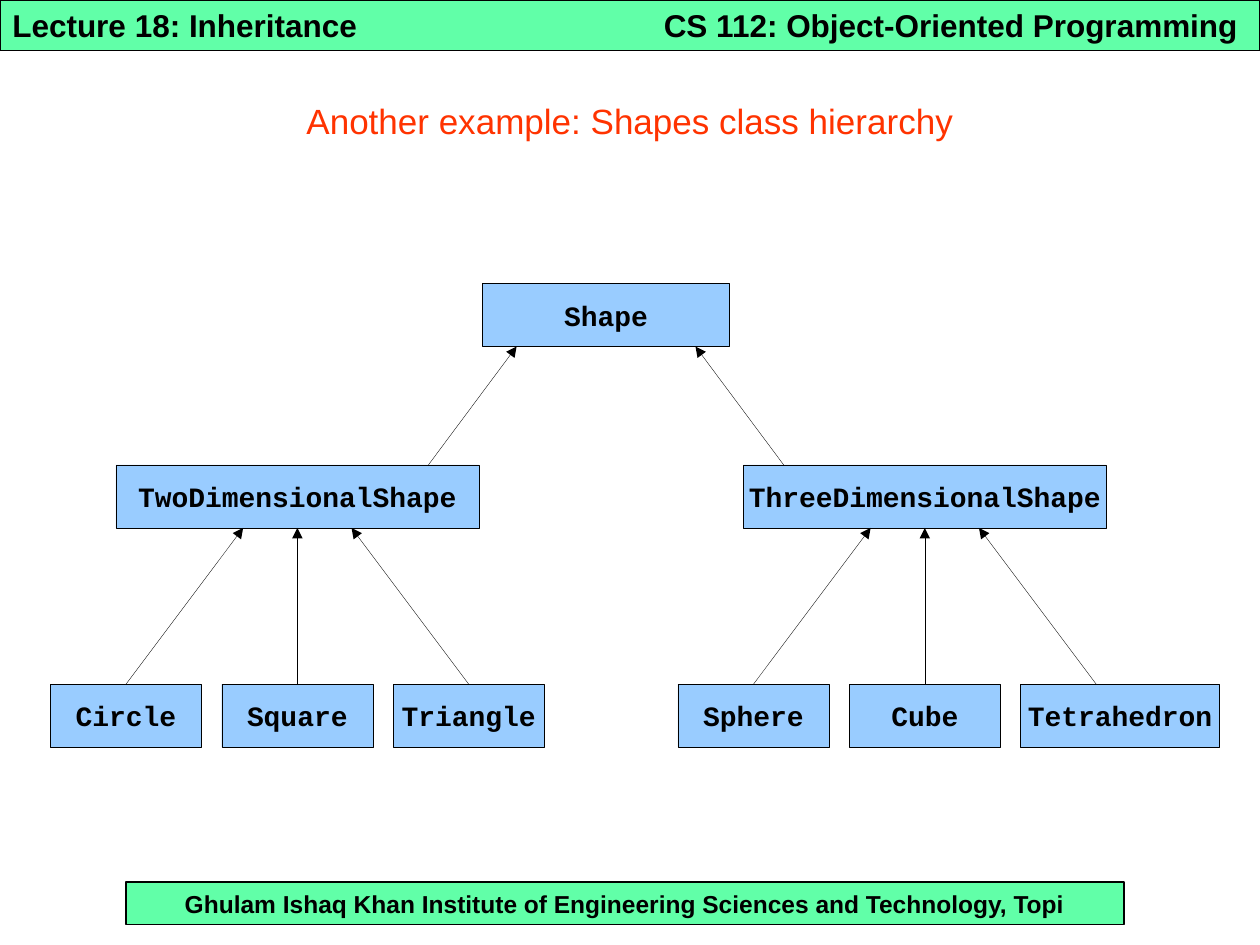
from pptx import Presentation
from pptx.dml.color import RGBColor
from pptx.enum.shapes import MSO_CONNECTOR, MSO_SHAPE
from pptx.enum.text import MSO_ANCHOR, PP_ALIGN
from pptx.oxml.ns import qn
from pptx.util import Inches, Pt
from lxml import etree

RECTANGLE = MSO_SHAPE.RECTANGLE
STRAIGHT = MSO_CONNECTOR.STRAIGHT
MIDDLE = MSO_ANCHOR.MIDDLE
LEFT, CENTER = PP_ALIGN.LEFT, PP_ALIGN.CENTER
TOP_SIDE, BOTTOM_SIDE = 0, 2

BLACK = RGBColor(0x00, 0x00, 0x00)
GREEN = RGBColor(0x61, 0xFF, 0xA8)
BLUE = RGBColor(0x99, 0xCC, 0xFF)
ORANGE = RGBColor(0xFF, 0x33, 0x00)

BOX_HEIGHT = Inches(0.5)
CLASS_WIDTH = Inches(2.88)
LEAF_WIDTH = Inches(1.2)
LEAF_PITCH = Inches(1.36)
ARROW_SPREAD = Inches(0.43)


def write_text(shape, text, font, size, color, bold, align):
    frame = shape.text_frame
    frame.word_wrap = True
    frame.vertical_anchor = MIDDLE
    para = frame.paragraphs[0]
    para.alignment = align
    span = para.add_run()
    span.text = text
    span.font.name = font
    span.font.size = Pt(size)
    span.font.bold = bold
    span.font.color.rgb = color


def add_rectangle(page, left, top, width, height, fill, line_width):
    box = page.shapes.add_shape(RECTANGLE, left, top, width, height)
    box.shadow.inherit = False
    box.fill.solid()
    box.fill.fore_color.rgb = fill
    box.line.color.rgb = BLACK
    box.line.width = Pt(line_width)
    return box


def add_class_box(page, name, left, top, width):
    box = add_rectangle(page, left, top, width, BOX_HEIGHT, BLUE, 0.2)
    frame = box.text_frame
    frame.margin_left = frame.margin_right = 0
    frame.margin_top = frame.margin_bottom = 0
    write_text(box, name, "Courier New", 16, BLACK, True, CENTER)
    return box


def add_arrow(page, start_x, start_y, end_x, end_y):
    arrow = page.shapes.add_connector(STRAIGHT, start_x, start_y, end_x, end_y)
    arrow.line.color.rgb = BLACK
    arrow.line.width = Pt(0.2)
    line = arrow.line._get_or_add_ln()
    etree.SubElement(line, qn("a:tailEnd"), type="triangle")
    etree.SubElement(arrow._element.spPr, qn("a:effectLst"))
    return arrow


def add_header(page, left, top, width, height):
    bar = add_rectangle(page, left, top, width, height, GREEN, 0.75)
    write_text(bar, "Lecture 18: Inheritance", "Arial", 18, BLACK, True, LEFT)
    offset = Inches(5.17)
    course = page.shapes.add_textbox(left + offset, top, width - offset, height)
    write_text(course, "CS 112: Object-Oriented Programming", "Arial", 18, BLACK, True, LEFT)


def add_footer(page, left, top, width, height):
    bar = add_rectangle(page, left, top, width, height, GREEN, 0.75)
    write_text(
        bar,
        "Ghulam Ishaq Khan Institute of Engineering Sciences and Technology, Topi",
        "Arial", 14, BLACK, True, CENTER,
    )


def add_title(page, left, top, width, height):
    title = page.shapes.title
    title.left, title.top, title.width, title.height = left, top, width, height
    write_text(title, "Another example: Shapes class hierarchy", "Arial", 20, ORANGE, False, CENTER)


def add_branch(page, left, top, name, leaves):
    parent = add_class_box(page, name, left, top, CLASS_WIDTH)
    center = left + CLASS_WIDTH // 2
    parent_bottom = top + BOX_HEIGHT
    leaf_top = top + Inches(1.74)
    for step, (leaf_name, leaf_width) in zip((-1, 0, 1), leaves):
        leaf_center = center + step * LEAF_PITCH
        leaf = add_class_box(page, leaf_name, leaf_center - LEAF_WIDTH // 2, leaf_top, leaf_width)
        arrow = add_arrow(page, leaf_center, leaf_top, center + step * ARROW_SPREAD, parent_bottom)
        if leaf_width == LEAF_WIDTH:
            arrow.begin_connect(leaf, TOP_SIDE)
        if step == 0:
            arrow.end_connect(parent, BOTTOM_SIDE)


def add_hierarchy(page, left, top):
    root_left, root_width = left + Inches(3.42), Inches(1.96)
    add_class_box(page, "Shape", root_left, top, root_width)
    root_bottom = top + BOX_HEIGHT
    branch_top = top + Inches(1.44)
    flat_left, solid_left = left + Inches(0.51), left + Inches(5.49)
    add_branch(
        page, flat_left, branch_top, "TwoDimensionalShape",
        [("Circle", LEAF_WIDTH), ("Square", LEAF_WIDTH), ("Triangle", LEAF_WIDTH)],
    )
    add_branch(
        page, solid_left, branch_top, "ThreeDimensionalShape",
        [("Sphere", LEAF_WIDTH), ("Cube", LEAF_WIDTH), ("Tetrahedron", Inches(1.58))],
    )
    inset = Inches(0.27)
    reach = Inches(0.7)
    flat_end, solid_end = root_left + inset, root_left + root_width - inset
    add_arrow(page, flat_end - reach, branch_top, flat_end, root_bottom)
    add_arrow(page, solid_end + reach, branch_top, solid_end, root_bottom)


def main():
    deck = Presentation()
    deck.slide_width, deck.slide_height = Inches(10), Inches(7.5)
    page = deck.slides.add_slide(deck.slide_layouts[5])
    add_footer(page, Inches(1), Inches(7), Inches(7.92), Inches(0.34))
    add_header(page, 0, 0, deck.slide_width, Inches(0.4))
    add_title(page, 0, Inches(0.58), deck.slide_width, Inches(0.75))
    add_hierarchy(page, Inches(0.41), Inches(2.25))
    deck.save("out.pptx")


if __name__ == "__main__":
    main()
